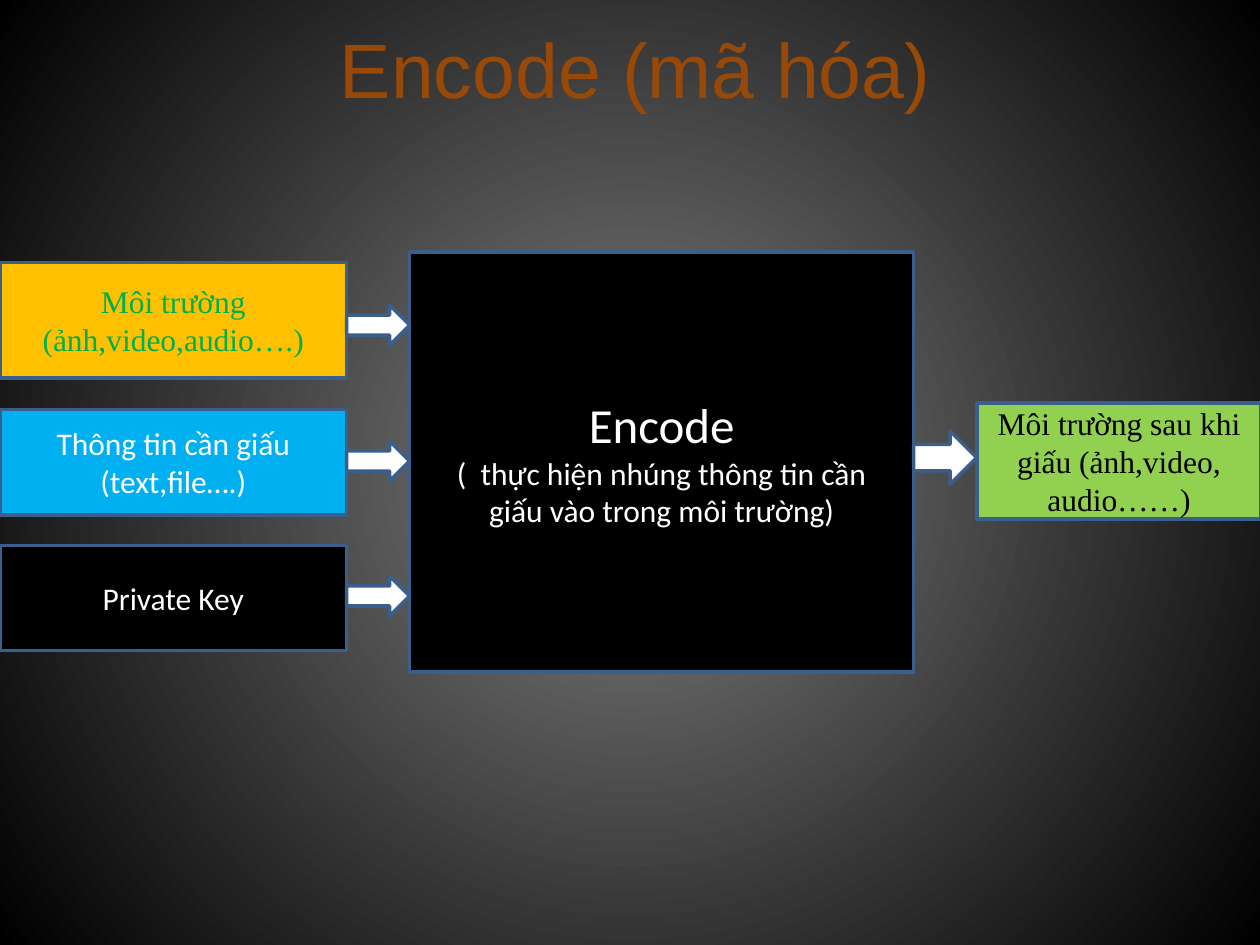
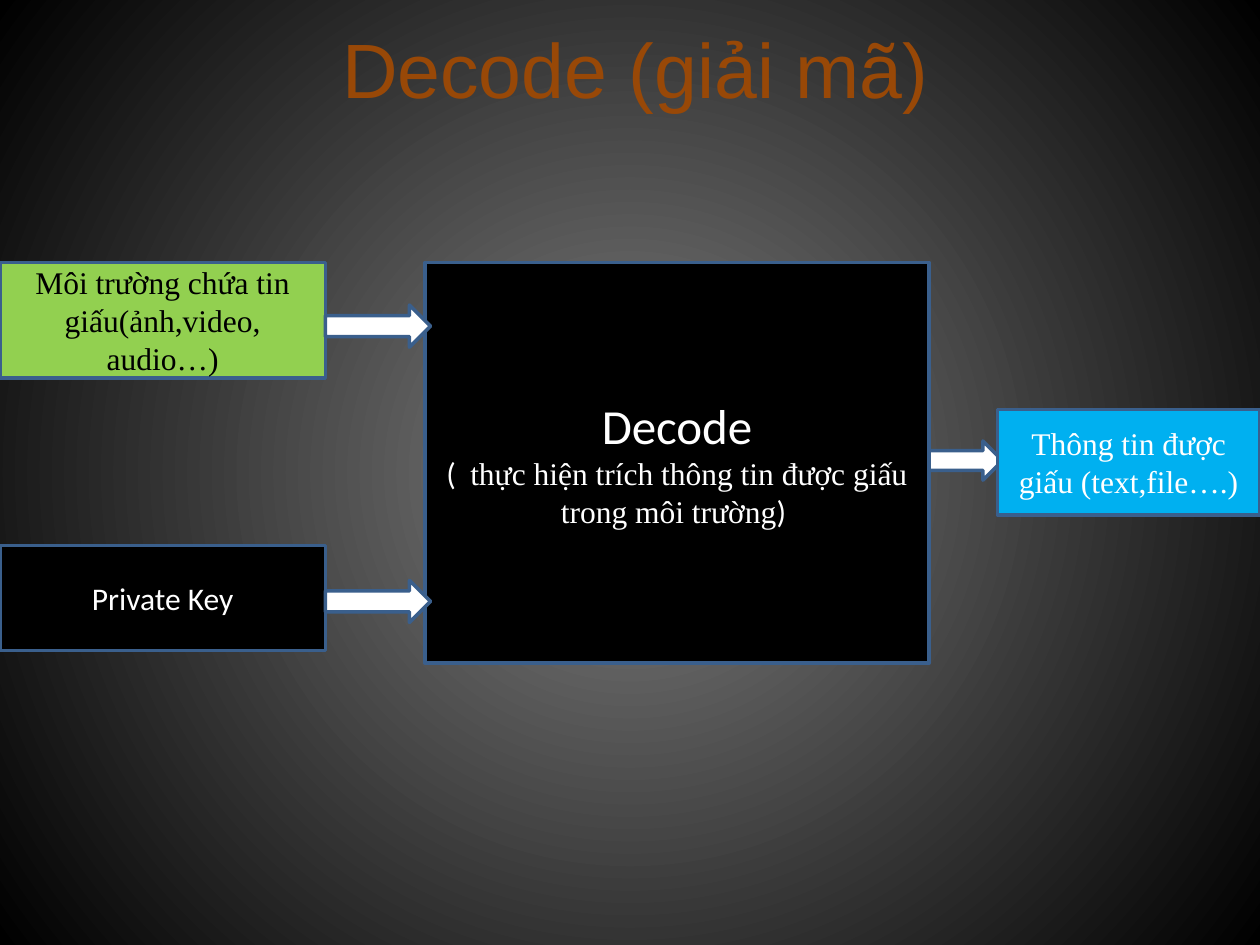
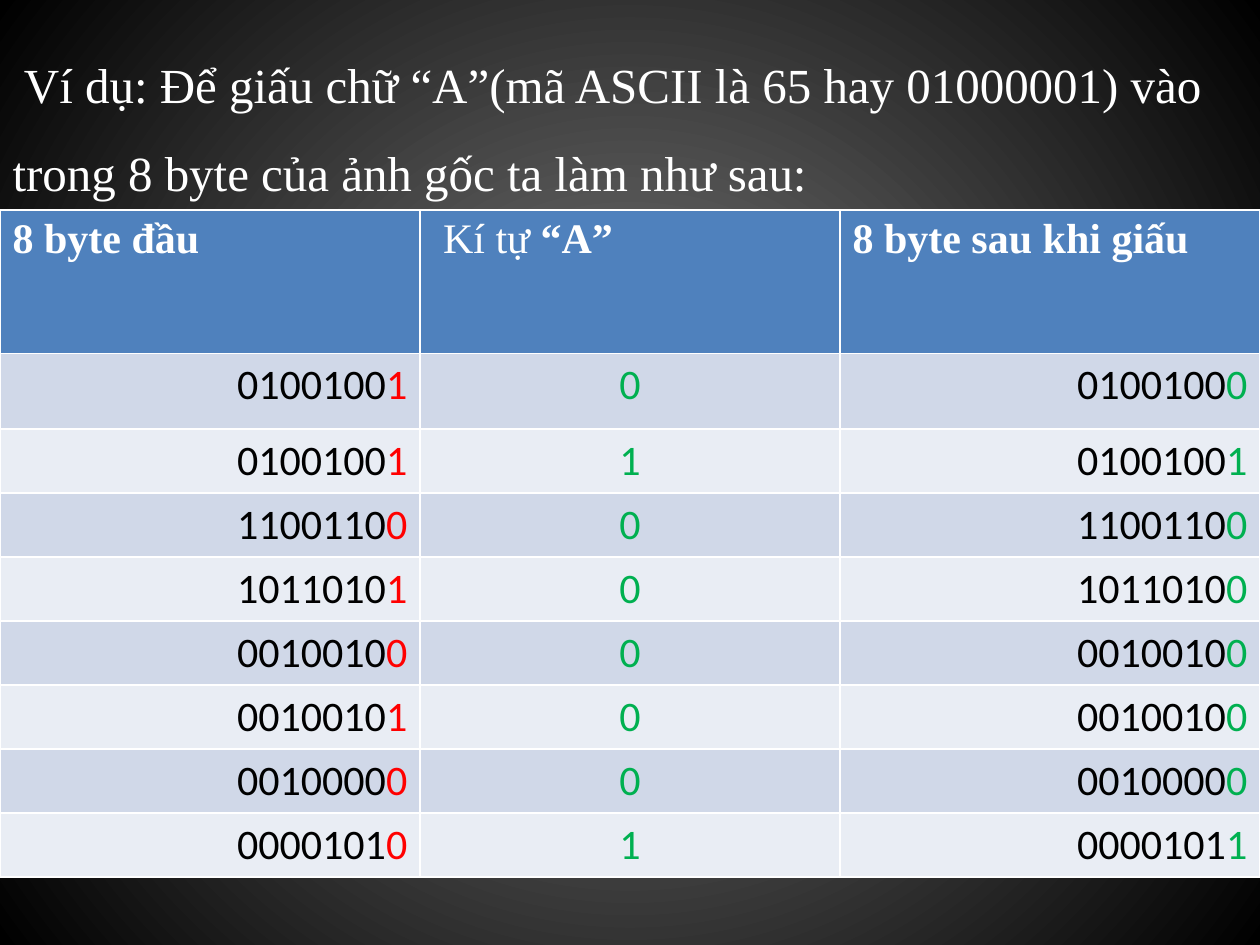
"""Build three slides on hiding text in media: encoding, decoding and a worked byte example."""
from lxml import etree
from pptx import Presentation
from pptx.dml import color
from pptx.enum import shapes, text
from pptx.oxml import ns
from pptx.util import Cm, Pt

SERIF, SANS = "Times New Roman", "Calibri"
WHITE, BLACK, GREEN, RED = "FFFFFF", "000000", "00B050", "FF0000"
EDGE, LIME, SKY, AMBER, BROWN = "3A5F8C", "92D050", "00B0F0", "FFC000", "984807"
RECT, ARROW = shapes.MSO_SHAPE.RECTANGLE, shapes.MSO_SHAPE.RIGHT_ARROW
CENTER, LEFT, RIGHT = text.PP_ALIGN.CENTER, text.PP_ALIGN.LEFT, text.PP_ALIGN.RIGHT
rgb = color.RGBColor.from_string


def write(p, runs, size, align=CENTER):
    """Fill a paragraph with (text, font, colour, bold) runs."""
    p.alignment = align
    p.font.size = Pt(size)
    for words, font, hue, bold in runs:
        r = p.add_run()
        r.text = words
        r.font.size = Pt(size)
        r.font.name = font
        r.font.bold = bold
        r.font.color.rgb = rgb(hue)


def add_block(s, kind, place, fill):
    """Add an outlined shape at (left, top, width, height) in cm."""
    sp = s.shapes.add_shape(kind, *map(Cm, place))
    sp.shadow.inherit = False
    sp.fill.solid()
    sp.fill.fore_color.rgb = rgb(fill)
    sp.line.color.rgb = rgb(EDGE)
    sp.line.width = Pt(2)
    sp.text_frame.word_wrap = True
    sp.text_frame.vertical_anchor = text.MSO_ANCHOR.MIDDLE
    return sp


prs = Presentation()
prs.slide_width, prs.slide_height = Cm(25.4), Cm(19.05)

master = prs.slide_master
fill = master.background.fill
fill.gradient()
for stop, hue in zip(fill.gradient_stops, ("7F7F7F", BLACK)):
    stop.color.rgb = rgb(hue)
grad = master.element.find(".//" + ns.qn("a:gradFill"))
grad.remove(grad.find(ns.qn("a:lin")))
radial = etree.SubElement(grad, ns.qn("a:path"), path="circle")
etree.SubElement(radial, ns.qn("a:fillToRect"), l="50000", t="50000", r="50000", b="50000")

flows = [
    {
        "title": "Encode (mã hóa)",
        "process": (8.26, 5.08, 10.16, 8.47),
        "name": "Encode",
        "detail": [[("(  thực hiện nhúng thông tin cần", SANS)],
                   [("giấu vào trong môi trường)", SANS)]],
        "inputs": [
            ((0, 5.29, 6.99, 2.33), AMBER, "Môi trường (ảnh,video,audio….)", SERIF, GREEN),
            ((0, 8.26, 6.99, 2.12), SKY, "Thông tin cần giấu (text,file….)", SANS, WHITE),
            ((0, 11, 6.99, 2.12), BLACK, "Private Key", SANS, WHITE),
        ],
        "arrows": [(6.99, 6.15, 1.27, 0.81), (6.99, 8.89, 1.27, 0.81),
                   (6.99, 11.61, 1.27, 0.81), (18.42, 8.69, 1.27, 1.07)],
        "output": ((19.7, 8.13, 5.72, 2.33), LIME,
                   "Môi trường sau khi giấu (ảnh,video, audio……)", SERIF, BLACK),
    },
    {
        "title": "Decode (giải mã)",
        "process": (8.57, 5.29, 10.16, 8.08),
        "name": "Decode",
        "detail": [[("(  ", SANS),
                    ("thực hiện trích thông tin được giấu trong môi trường", SERIF),
                    (") ", SANS)]],
        "inputs": [
            ((0, 5.29, 6.56, 2.33), LIME,
             "Môi trường chứa tin giấu(ảnh,video, audio…)", SERIF, BLACK),
            ((0, 11, 6.56, 2.12), BLACK, "Private Key", SANS, WHITE),
        ],
        "arrows": [(6.56, 6.15, 2.12, 0.85), (6.56, 11.7, 2.12, 0.85),
                   (18.73, 8.89, 1.48, 0.79)],
        "output": ((20.11, 8.26, 5.29, 2.12), SKY,
                   "Thông tin được giấu (text,file….)", SERIF, WHITE),
    },
]
example = " Ví dụ: Để giấu chữ “A”(mã ASCII là 65 hay 01000001) vào trong 8 byte của ảnh gốc ta làm như sau:"
titles = [
    (flows[0]["title"], (0.85, 0, 23.92, 2.71), "Arial", 44, BROWN, CENTER),
    (flows[1]["title"], (0.85, 0, 23.92, 2.71), "Arial", 44, BROWN, CENTER),
    (example, (0, 0, 25.4, 2.71), SERIF, 28, WHITE, LEFT),
]

for words, place, font, size, hue, align in titles:
    s = prs.slides.add_slide(prs.slide_layouts[0])
    subtitle = s.placeholders[1].element
    subtitle.getparent().remove(subtitle)
    title = s.shapes.title
    title.left, title.top, title.width, title.height = map(Cm, place)
    tf = title.text_frame
    tf.word_wrap = True
    tf.auto_size = text.MSO_AUTO_SIZE.NONE
    tf.vertical_anchor = text.MSO_ANCHOR.MIDDLE
    write(tf.paragraphs[0], [(words, font, hue, False)], size, align)

for s, flow in zip(prs.slides, flows):
    tf = add_block(s, RECT, flow["process"], BLACK).text_frame
    write(tf.paragraphs[0], [(flow["name"], SANS, WHITE, False)], 28)
    for line in flow["detail"]:
        write(tf.add_paragraph(), [(words, font, WHITE, False) for words, font in line], 18)
    for place, fill, words, font, hue in flow["inputs"] + [flow["output"]]:
        sp = add_block(s, RECT, place, fill)
        write(sp.text_frame.paragraphs[0], [(words, font, hue, False)], 18)
    for place in flow["arrows"]:
        add_block(s, ARROW, place, WHITE)
    s.shapes._spTree.append(sp.element)

s = prs.slides[2]
tf = s.shapes.title.text_frame
tf.vertical_anchor = text.MSO_ANCHOR.TOP
tf.margin_top = Cm(0.5)
tf.paragraphs[0].line_spacing = 1.5

headers = [
    [("8 byte đầu", SERIF, WHITE, True)],
    [(" Kí tự ", SERIF, WHITE, False), ("“A”", SERIF, WHITE, True)],
    [("8 byte sau khi giấu", SERIF, WHITE, True)],
]
first_bytes = ["01001001", "01001001", "11001100", "10110101",
               "00100100", "00100101", "00100000", "00001010"]
rows = [(headers, (LEFT, LEFT, LEFT), "4F81BD", 2.9)]
for i, (byte, bit) in enumerate(zip(first_bytes, "01000001")):
    kept = (byte[:-1], SANS, BLACK, False)
    hidden = (bit, SANS, GREEN, False)
    cells = [[kept, (byte[-1], SANS, RED, False)], [hidden], [kept, hidden]]
    rows.append((cells, (RIGHT, CENTER, RIGHT), ("D0D8E8", "E9EDF4")[i % 2],
                 1.29 if i else 1.52))

height = sum(row[3] for row in rows)
table = s.shapes.add_table(len(rows), 3, Cm(0), Cm(4.23), Cm(25.4), Cm(height)).table
for row, (cells, aligns, fill, row_height) in zip(table.rows, rows):
    row.height = Cm(row_height)
    for cell, runs, align in zip(row.cells, cells, aligns):
        cell.fill.solid()
        cell.fill.fore_color.rgb = rgb(fill)
        write(cell.text_frame.paragraphs[0], runs, 24, align)

prs.save("out.pptx")
